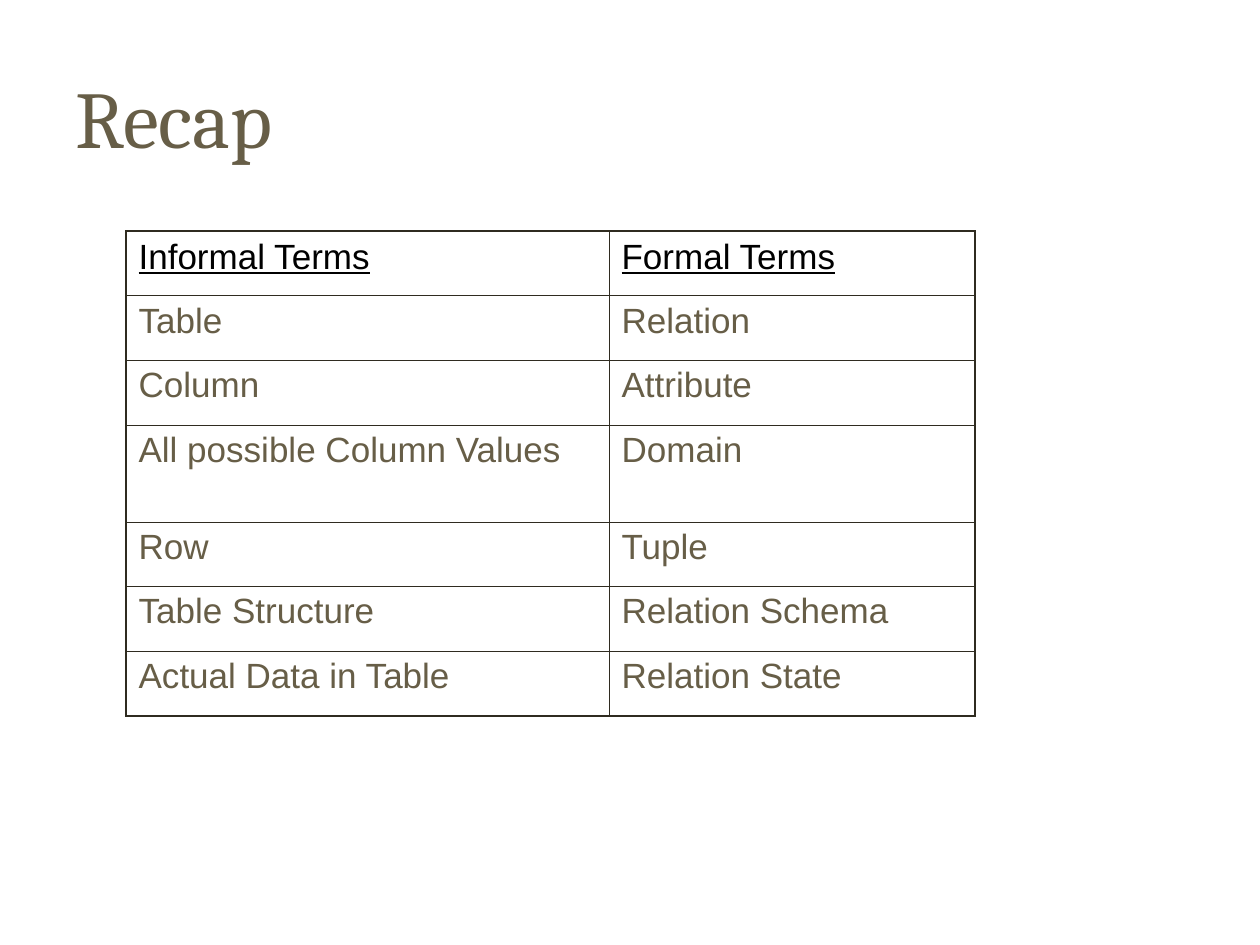
from lxml import etree
from pptx import Presentation
from pptx import util as u
from pptx.dml.color import RGBColor
from pptx.enum import text
from pptx.oxml import ns

PX_PER_INCH = 126


def px(length):
    return u.Inches(length / PX_PER_INCH)


def color(hex_value):
    return RGBColor.from_string(hex_value)


class SlideBuilder:
    TITLE_FONT, BODY_FONT = "Cambria", "Arial"
    INK, HEADER, BORDER = "675E47", "000000", "2F2B20"
    OUTER, INNER = 1.08, 0.45

    def __init__(self, deck):
        self.page = deck.slides.add_slide(deck.slide_layouts[6])

    def style(self, paragraph, font_name, size, ink, underline=False):
        for span in paragraph.runs:
            font = span.font
            font.name, font.size = font_name, u.Pt(size)
            font.color.rgb = color(ink)
            font.underline = underline

    def title(self, left, top, width, height, words):
        box = self.page.shapes.add_textbox(px(left), px(top), px(width), px(height))
        frame = box.text_frame
        frame.word_wrap = True
        frame.vertical_anchor = text.MSO_ANCHOR.MIDDLE
        frame.text = words
        self.style(frame.paragraphs[0], self.TITLE_FONT, 46, self.INK)

    def border(self, cell, side, points):
        properties = cell._tc.get_or_add_tcPr()
        line = etree.SubElement(properties, ns.qn(f"a:ln{side}"), w=str(u.Pt(points)))
        fill = etree.SubElement(line, ns.qn("a:solidFill"))
        etree.SubElement(fill, ns.qn("a:srgbClr"), val=self.BORDER)

    def cell(self, cell, words, is_header, outer_sides):
        # Borders come before the fill in the cell properties
        for side in "LRTB":
            self.border(cell, side, self.OUTER if side in outer_sides else self.INNER)
        cell.fill.background()
        cell.text_frame.text = words
        paragraph = cell.text_frame.paragraphs[0]
        paragraph.space_before = u.Pt(5)
        ink = self.HEADER if is_header else self.INK
        self.style(paragraph, self.BODY_FONT, 20, ink, is_header)

    def table(self, left, top, widths, heights, rows):
        frame = self.page.shapes.add_table(
            len(heights), len(widths), px(left), px(top), px(sum(widths)), px(sum(heights)))
        table = frame.table
        table.first_row = table.horz_banding = False
        for column, width in zip(table.columns, widths):
            column.width = px(width)
        for row, height in zip(table.rows, heights):
            row.height = px(height)
        last_row, last_column = len(heights) - 1, len(widths) - 1
        for r, row in enumerate(rows):
            for c, words in enumerate(row):
                edges = {"L": c == 0, "R": c == last_column, "T": r == 0, "B": r == last_row}
                outer_sides = [side for side, is_outer in edges.items() if is_outer]
                self.cell(table.cell(r, c), words, r == 0, outer_sides)


TERMS = [
    ("Informal Terms", "Formal Terms"),
    ("Table", "Relation"),
    ("Column", "Attribute"),
    ("All possible Column Values", "Domain"),
    ("Row", "Tuple"),
    ("Table Structure", "Relation Schema"),
    ("Actual Data in Table", "Relation State"),
]


def main():
    deck = Presentation()
    deck.slide_width, deck.slide_height = px(1260), px(945)
    slide = SlideBuilder(deck)

    # Heading
    slide.title(63, 38, 1050, 157, "Recap")

    # Informal and formal terms side by side
    slide.table(126, 231, [483, 366], [64, 65, 65, 97, 64, 65, 65], TERMS)

    deck.save("out.pptx")


if __name__ == "__main__":
    main()
